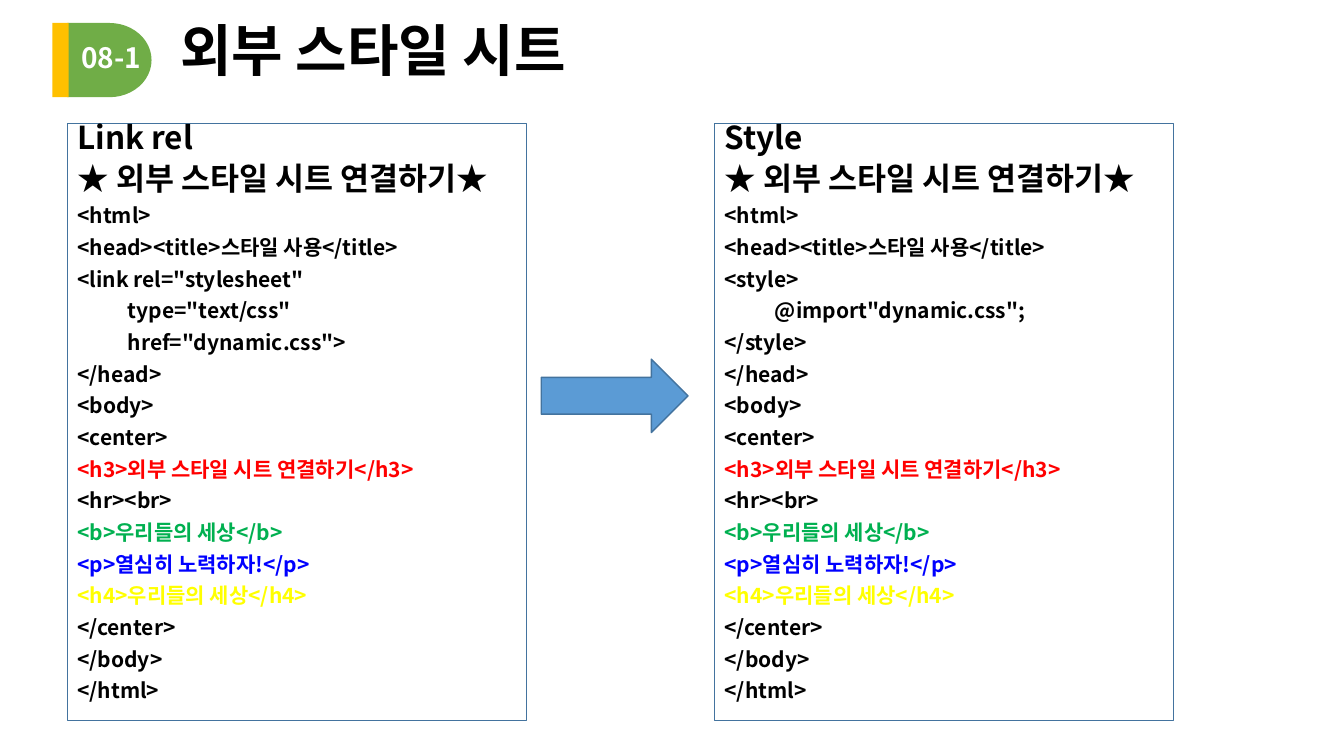
from lxml.etree import SubElement
from pptx import Presentation
from pptx.dml.color import RGBColor
from pptx.enum.shapes import MSO_SHAPE
from pptx.enum.text import MSO_ANCHOR, PP_ALIGN
from pptx.oxml.ns import qn
from pptx.util import Cm, Pt

BLACK, WHITE, GREEN, AMBER = "000000", "FFFFFF", "70AD47", "FFC000"
BLUE, OUTLINE = "5B9BD5", "43739E"
KOREAN_FONT = "Noto Sans CJK KR"


def color(hex_code):
    return RGBColor.from_string(hex_code)


class LessonSlide:
    def __init__(self, slide):
        self.shapes = slide.shapes

    def shape(self, kind, left, top, width, height, fill=None, line=None, weight=1):
        shape = self.shapes.add_shape(kind, Cm(left), Cm(top), Cm(width), Cm(height))
        shape.shadow.inherit = False
        if fill:
            shape.fill.solid()
            shape.fill.fore_color.rgb = color(fill)
        else:
            shape.fill.background()
        if line:
            shape.line.color.rgb = color(line)
            shape.line.width = Pt(weight)
        else:
            shape.line.fill.background()
        return shape

    def run(self, paragraph, text, size, hex_code=BLACK, font=KOREAN_FONT):
        run = paragraph.add_run()
        run.text = text
        run.font.size = Pt(size)
        run.font.bold = True
        run.font.color.rgb = color(hex_code)
        run.font.name = font
        SubElement(run.font._element, qn("a:ea")).set("typeface", KOREAN_FONT)

    def label(self, text, left, top, width, height, size, hex_code, font, spacing=1.0):
        box = self.shapes.add_textbox(Cm(left), Cm(top), Cm(width), Cm(height))
        frame = box.text_frame
        frame.word_wrap = True
        frame.vertical_anchor = MSO_ANCHOR.MIDDLE
        frame.paragraphs[0].line_spacing = spacing
        self.run(frame.paragraphs[0], text, size, hex_code, font)

    def code_panel(self, left, lines):
        panel = self.shape(MSO_SHAPE.RECTANGLE, left, 3.12, 11.56, 15.04,
                           line=OUTLINE, weight=0.75)
        frame = panel.text_frame
        frame.word_wrap = True
        frame.vertical_anchor = MSO_ANCHOR.TOP
        for index, (text, size, hex_code) in enumerate(lines):
            paragraph = frame.paragraphs[0] if index == 0 else frame.add_paragraph()
            paragraph.alignment = PP_ALIGN.LEFT
            paragraph.line_spacing = 0.7
            paragraph.space_before = Pt(10)
            self.run(paragraph, text, size, hex_code)


def listing(heading, style_lines):
    """Both methods share the page; only the heading and style lines differ."""
    titles = [heading, "★ 외부 스타일 시트 연결하기★"]
    opening = ["<html>", "<head><title>스타일 사용</title>"]
    body = ["</head>", "<body>", "<center>", "<h3>외부 스타일 시트 연결하기</h3>",
            "<hr><br>", "<b>우리들의 세상</b>", "<p>열심히 노력하자!</p>",
            "<h4>우리들의 세상</h4>", "</center>", "</body>", "</html>"]
    tag_colors = {"<h3>": "FF0000", "<b>": "00B050", "<p>": "0000FF", "<h4>": "FFFF00"}
    code = opening + style_lines + body
    return ([(text, 22.5, BLACK) for text in titles]
            + [(text, 15, tag_colors.get(text.split(">")[0] + ">", BLACK))
               for text in code])


def main():
    deck = Presentation()
    deck.slide_width, deck.slide_height = Cm(33.87), Cm(19.05)
    lesson = LessonSlide(deck.slides.add_slide(deck.slide_layouts[6]))

    # Section badge and title
    lesson.shape(MSO_SHAPE.FLOWCHART_DELAY, 1.7, 0.58, 2.12, 1.87, fill=GREEN)
    lesson.shape(MSO_SHAPE.RECTANGLE, 1.32, 0.58, 0.41, 1.87, fill=AMBER)
    lesson.label("08-1", 1.8, 0.89, 2.82, 1.12, 20, WHITE, KOREAN_FONT)
    lesson.label("외부 스타일 시트", 4.29, 0.43, 25.25, 1.85, 40, BLACK, "Arial", 0.9)

    # The two ways to attach a style sheet
    lesson.code_panel(1.7, listing("Link rel", [
        '<link rel="stylesheet"', '\ttype="text/css"', '\thref="dynamic.css">']))
    lesson.code_panel(18.01, listing("Style", [
        "<style>", '\t@import"dynamic.css";', "</style>"]))

    # Arrow from one way to the other
    lesson.shape(MSO_SHAPE.RIGHT_ARROW, 13.64, 9.05, 3.7, 1.85, fill=BLUE, line=OUTLINE)

    deck.save("out.pptx")


if __name__ == "__main__":
    main()
